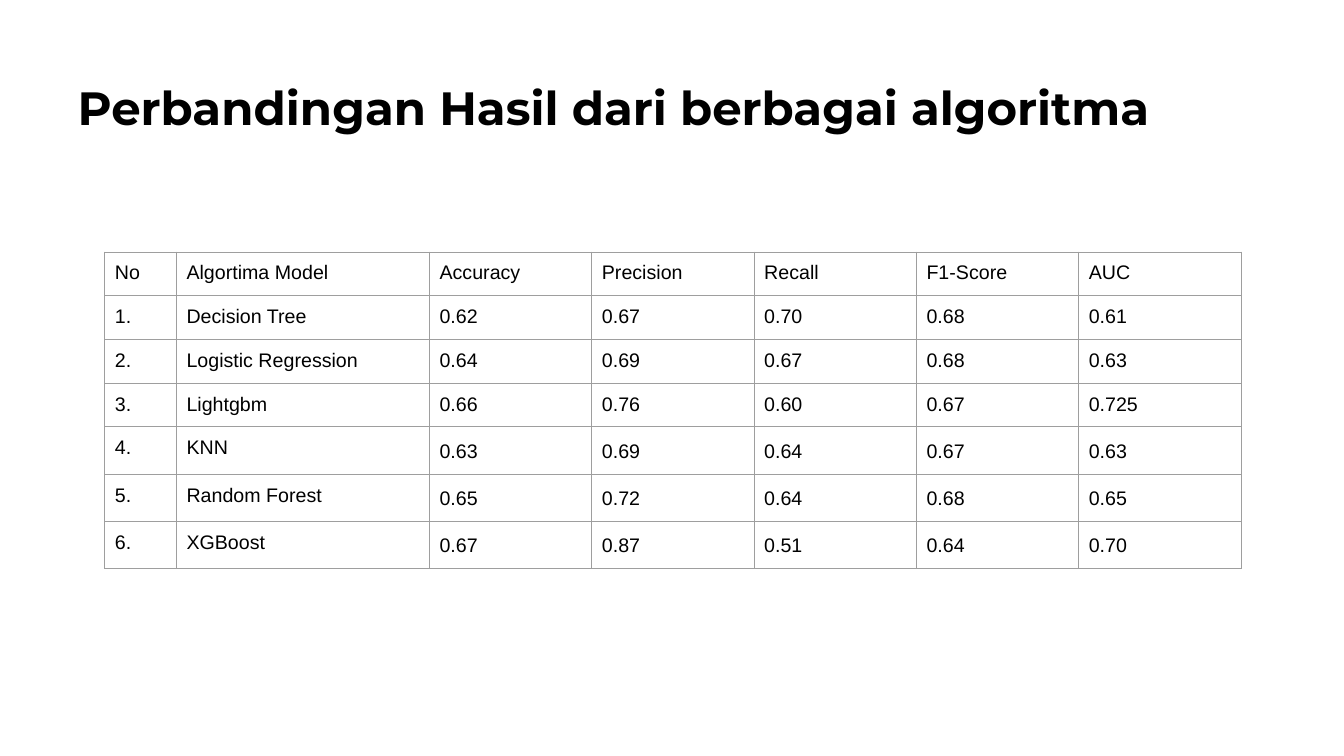
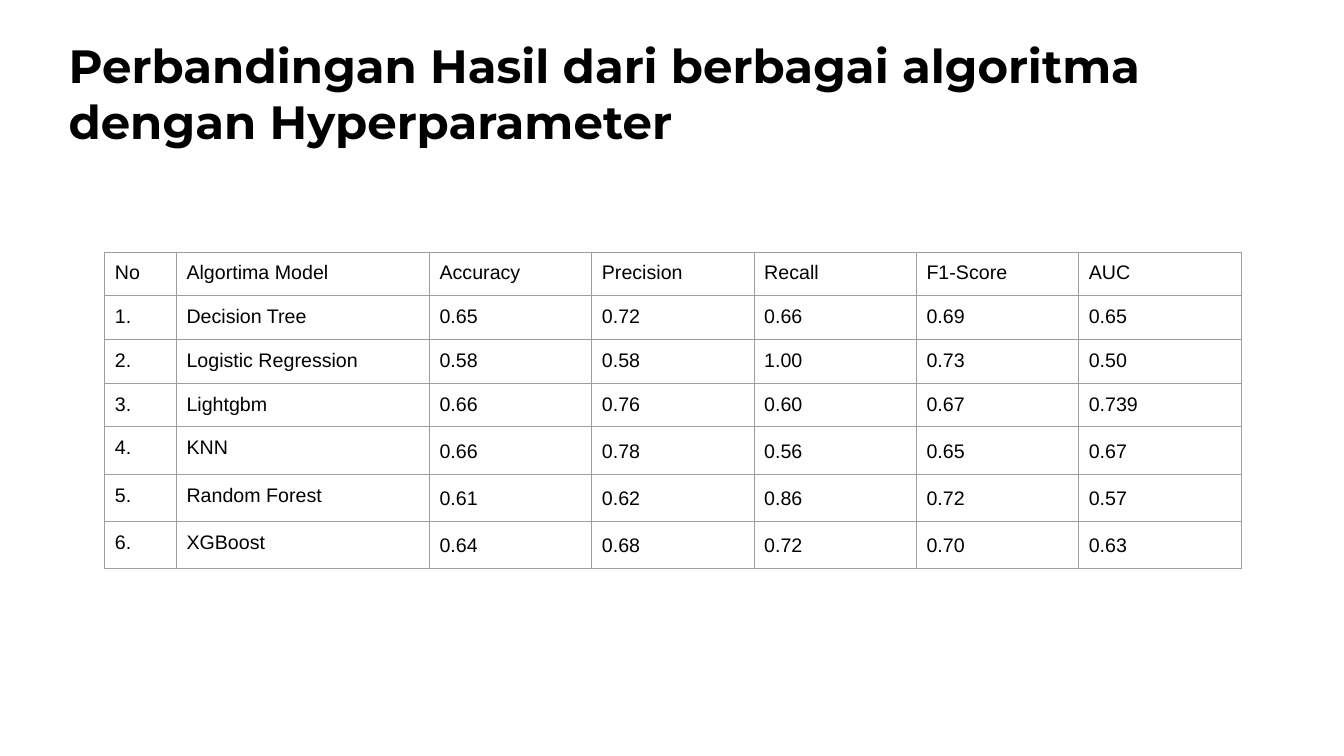
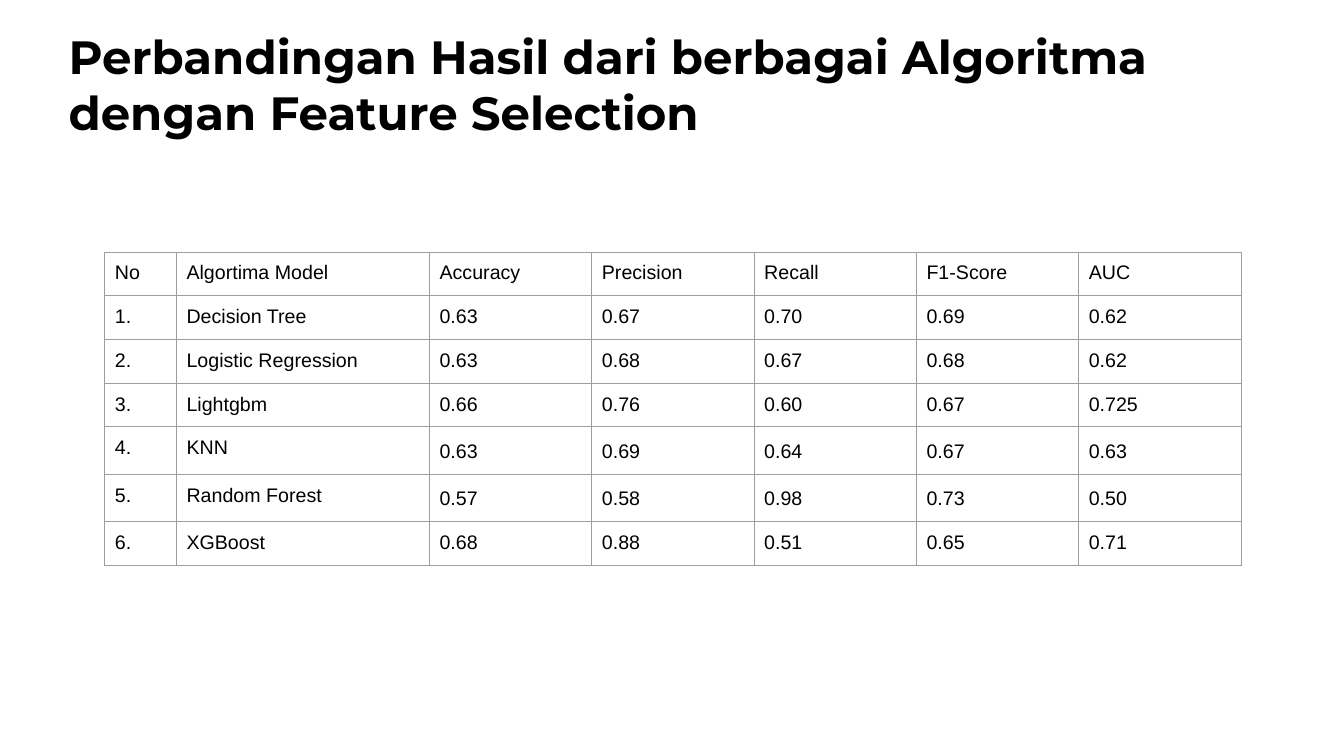
from lxml import etree
from pptx import Presentation
from pptx.dml.color import RGBColor
from pptx.oxml import ns
from pptx.util import Inches, Pt

INK = "000000"
GRID = "9E9E9E"
HEADS = ["No", "Algortima Model", "Accuracy", "Precision", "Recall", "F1-Score", "AUC"]
MODELS = ["Decision Tree", "Logistic Regression", "Lightgbm", "KNN", "Random Forest", "XGBoost"]
WIDTHS = [0.71, 2.51] + [1.61] * 5
ROW = 0.42
LOOSE = 1.15

PAGES = [
    ("Perbandingan Hasil dari berbagai algoritma", 0.64, 0.65, (4, 5, 6), [
        "0.62 0.67 0.70 0.68 0.61",
        "0.64 0.69 0.67 0.68 0.63",
        "0.66 0.76 0.60 0.67 0.725",
        "0.63 0.69 0.64 0.67 0.63",
        "0.65 0.72 0.64 0.68 0.65",
        "0.67 0.87 0.51 0.64 0.70",
    ]),
    ("Perbandingan Hasil dari berbagai algoritma dengan Hyperparameter", 0.55, 0.24, (4, 5, 6), [
        "0.65 0.72 0.66 0.69 0.65",
        "0.58 0.58 1.00 0.73 0.50",
        "0.66 0.76 0.60 0.67 0.739",
        "0.66 0.78 0.56 0.65 0.67",
        "0.61 0.62 0.86 0.72 0.57",
        "0.64 0.68 0.72 0.70 0.63",
    ]),
    ("Perbandingan Hasil dari berbagai Algoritma dengan Feature Selection", 0.55, 0.15, (4, 5), [
        "0.63 0.67 0.70 0.69 0.62",
        "0.63 0.68 0.67 0.68 0.62",
        "0.66 0.76 0.60 0.67 0.725",
        "0.63 0.69 0.64 0.67 0.63",
        "0.57 0.58 0.98 0.73 0.50",
        "0.68 0.88 0.51 0.65 0.71",
    ]),
]


def color(code):
    return RGBColor.from_string(code)


def style(para, face, size, bold=False):
    for run in para.runs:
        run.font.name = face
        run.font.size = Pt(size)
        run.font.bold = bold
        run.font.color.rgb = color(INK)


def inset(item, gap):
    item.margin_left = item.margin_right = Inches(gap)
    item.margin_top = item.margin_bottom = Inches(gap)


def title(slide, words, left, top):
    box = slide.shapes.add_textbox(Inches(left), Inches(top), Inches(12.24), Inches(0.83))
    frame = box.text_frame
    frame.word_wrap = True
    inset(frame, 0.13)
    frame.text = words
    style(frame.paragraphs[0], "Montserrat", 33.3, True)


def border(cell):
    props = cell._tc.get_or_add_tcPr()
    for side in ("a:lnL", "a:lnR", "a:lnT", "a:lnB"):
        line = etree.SubElement(props, ns.qn(side), w=str(Pt(0.75)))
        fill = etree.SubElement(line, ns.qn("a:solidFill"))
        etree.SubElement(fill, ns.qn("a:srgbClr"), val=GRID)


def fill_cell(cell, words, loose):
    border(cell)
    cell.fill.background()
    inset(cell, 0.1)
    cell.text_frame.text = words
    para = cell.text_frame.paragraphs[0]
    if loose:
        para.line_spacing = LOOSE
    style(para, "Arial", 14)


def scores(slide, lines, loose):
    rows = [HEADS]
    for num, (model, line) in enumerate(zip(MODELS, lines), 1):
        rows.append([f"{num}.", model, *line.split()])
    frame = slide.shapes.add_table(len(rows), len(HEADS), Inches(1.04), Inches(2.5),
                                   Inches(sum(WIDTHS)), Inches(ROW * len(rows)))
    table = frame.table
    table.first_row = table.horz_banding = False
    for col, width in zip(table.columns, WIDTHS):
        col.width = Inches(width)
    for r, row in enumerate(rows):
        table.rows[r].height = Inches(ROW)
        for c, words in enumerate(row):
            fill_cell(table.cell(r, c), words, r in loose and c > 1)


def main():
    deck = Presentation()
    deck.slide_width = Inches(13.33)
    deck.slide_height = Inches(7.5)
    for words, left, top, loose, lines in PAGES:
        slide = deck.slides.add_slide(deck.slide_layouts[6])
        title(slide, words, left, top)
        scores(slide, lines, loose)
    deck.save("out.pptx")


if __name__ == "__main__":
    main()
